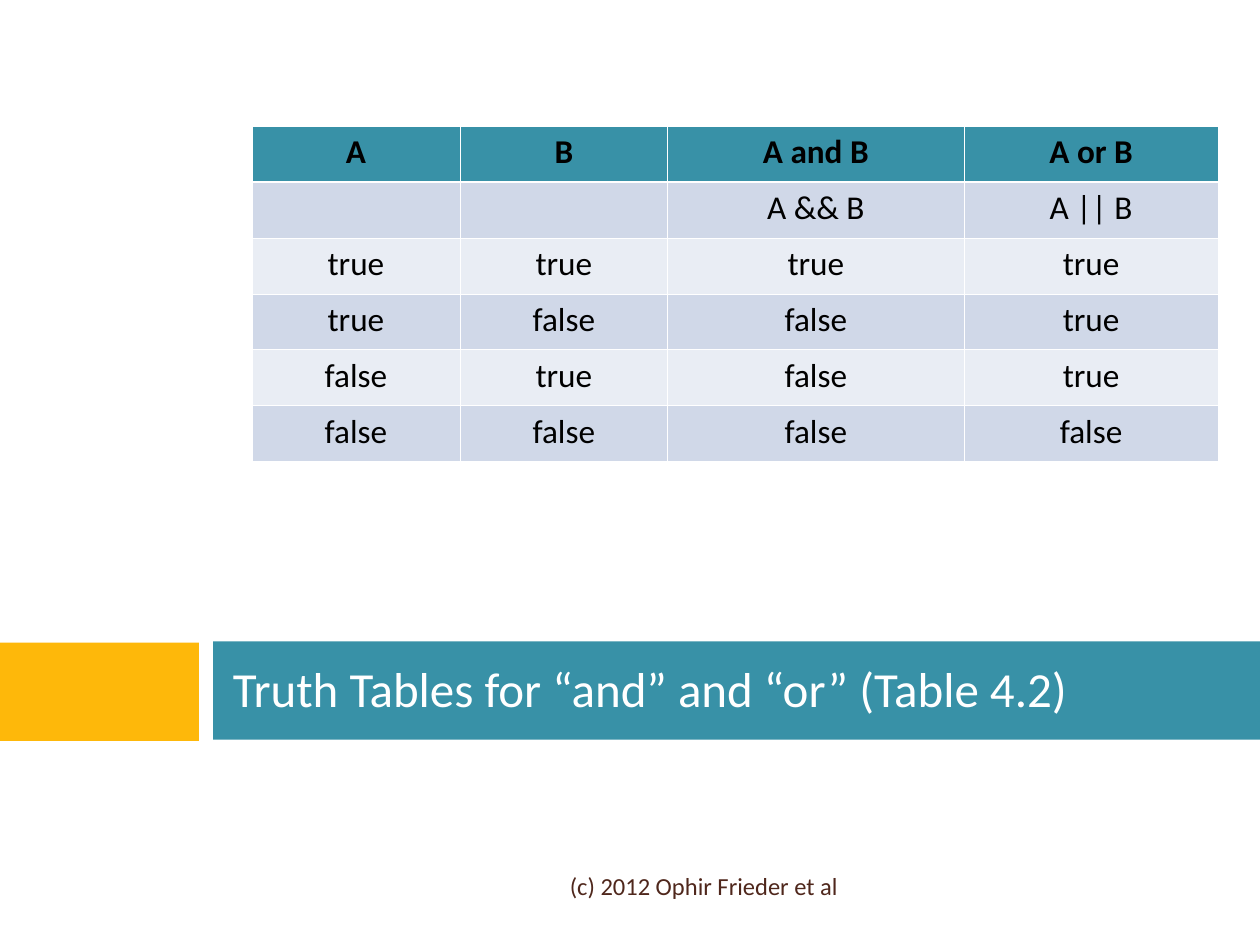
"""Build a slide with the truth table for "and" and "or"."""
from typing import Any, NamedTuple

from lxml.etree import SubElement
from pptx import Presentation
from pptx.dml.color import RGBColor
from pptx.enum.shapes import MSO_SHAPE
from pptx.enum.text import MSO_ANCHOR, PP_ALIGN
from pptx.oxml.ns import qn
from pptx.util import Pt

WHITE = RGBColor(0xFF, 0xFF, 0xFF)
BLACK = RGBColor(0x00, 0x00, 0x00)
GOLD = RGBColor(0xFE, 0xB8, 0x0A)
TEAL = RGBColor(0x38, 0x91, 0xA7)
BROWN = RGBColor(0x4F, 0x27, 0x1C)
DARK = RGBColor(0xD0, 0xD8, 0xE8)
LIGHT = RGBColor(0xE9, 0xED, 0xF4)

THIN, THICK = 0.45, 1.47
WIDTHS = (118.8, 118.8, 169.2, 145.4)
HEIGHT = 32
ROWS = (
    ("A", "B", "A and B", "A or B"),
    ("", "", "A && B", "A || B"),
    ("true", "true", "true", "true"),
    ("true", "false", "false", "true"),
    ("false", "true", "false", "true"),
    ("false", "false", "false", "false"),
)


class Box(NamedTuple):
    """Place of an element in points."""
    left: float
    top: float
    width: float
    height: float


class Bar(NamedTuple):
    """Filled band of the slide design."""
    box: Box
    fill: RGBColor


class Label(NamedTuple):
    """Text with its place and format."""
    box: Box
    text: str
    size: float
    color: RGBColor
    align: PP_ALIGN


BARS = (
    Bar(Box(-0.7, 367.2, 115, 56.2), GOLD),
    Bar(Box(121.7, 366.5, 598.3, 56.2), TEAL),
    Bar(Box(113.8, 0, 7.9, 540), WHITE),
)
LABELS = (
    Label(Box(126, 366, 576, 54), "Truth Tables for “and” and “or” (Table 4.2)",
          28, WHITE, PP_ALIGN.LEFT),
    Label(Box(126, 492, 360, 28.8), "(c) 2012 Ophir Frieder et al",
          14, BROWN, PP_ALIGN.RIGHT),
)


def style(para: Any, size: float, color: RGBColor, align: PP_ALIGN,
          bold: bool = False) -> None:
    """Format one paragraph."""
    para.alignment = align
    for name, value in {"name": "Calibri", "size": Pt(size), "bold": bold}.items():
        setattr(para.font, name, value)
    para.font.color.rgb = color


def draw_bar(slide: Any, bar: Bar) -> None:
    """Draw a plain band."""
    shape = slide.shapes.add_shape(MSO_SHAPE.RECTANGLE, *map(Pt, bar.box))
    shape.shadow.inherit = False
    shape.fill.solid()
    shape.fill.fore_color.rgb = bar.fill
    shape.line.fill.background()


def draw_label(slide: Any, label: Label) -> None:
    """Draw a text box."""
    frame = slide.shapes.add_textbox(*map(Pt, label.box)).text_frame
    for name, value in {"word_wrap": True, "vertical_anchor": MSO_ANCHOR.MIDDLE}.items():
        setattr(frame, name, value)
    frame.text = label.text
    style(frame.paragraphs[0], label.size, label.color, label.align)


def add_edge(cell: Any, side: str, width: float) -> None:
    """Add a white border to one side of a cell."""
    edge = SubElement(cell._tc.get_or_add_tcPr(), qn(f"a:ln{side}"), w=str(Pt(width)))
    SubElement(SubElement(edge, qn("a:solidFill")), qn("a:srgbClr"), val=str(WHITE))


def draw_cell(cell: Any, row: int, text: str) -> None:
    """Fill, border and label a table cell."""
    edges = {"L": THIN, "R": THIN, "T": THICK if row == 1 else THIN,
             "B": THICK if row == 0 else THIN}
    for side, width in edges.items():
        add_edge(cell, side, width)
    cell.fill.solid()
    cell.fill.fore_color.rgb = TEAL if row == 0 else (LIGHT, DARK)[row % 2]
    cell.text = text
    style(cell.text_frame.paragraphs[0], 19, BLACK, PP_ALIGN.CENTER, row == 0)


def draw_table(slide: Any) -> None:
    """Draw the truth table."""
    box = Box(144, 72, sum(WIDTHS), HEIGHT * len(ROWS))
    table = slide.shapes.add_table(len(ROWS), len(WIDTHS), *map(Pt, box)).table
    for name, value in {"first_row": False, "horz_banding": False}.items():
        setattr(table, name, value)
    for col, width in zip(table.columns, WIDTHS):
        col.width = Pt(width)
    for row, texts in enumerate(ROWS):
        table.rows[row].height = Pt(HEIGHT)
        for col, text in enumerate(texts):
            draw_cell(table.cell(row, col), row, text)


def main() -> None:
    """Build and save the slide."""
    deck = Presentation()
    deck.slide_width, deck.slide_height = Pt(720), Pt(540)
    slide = deck.slides.add_slide(deck.slide_layouts[6])
    for bar in BARS:
        draw_bar(slide, bar)
    draw_table(slide)
    for label in LABELS:
        draw_label(slide, label)
    deck.save("out.pptx")


if __name__ == "__main__":
    main()
